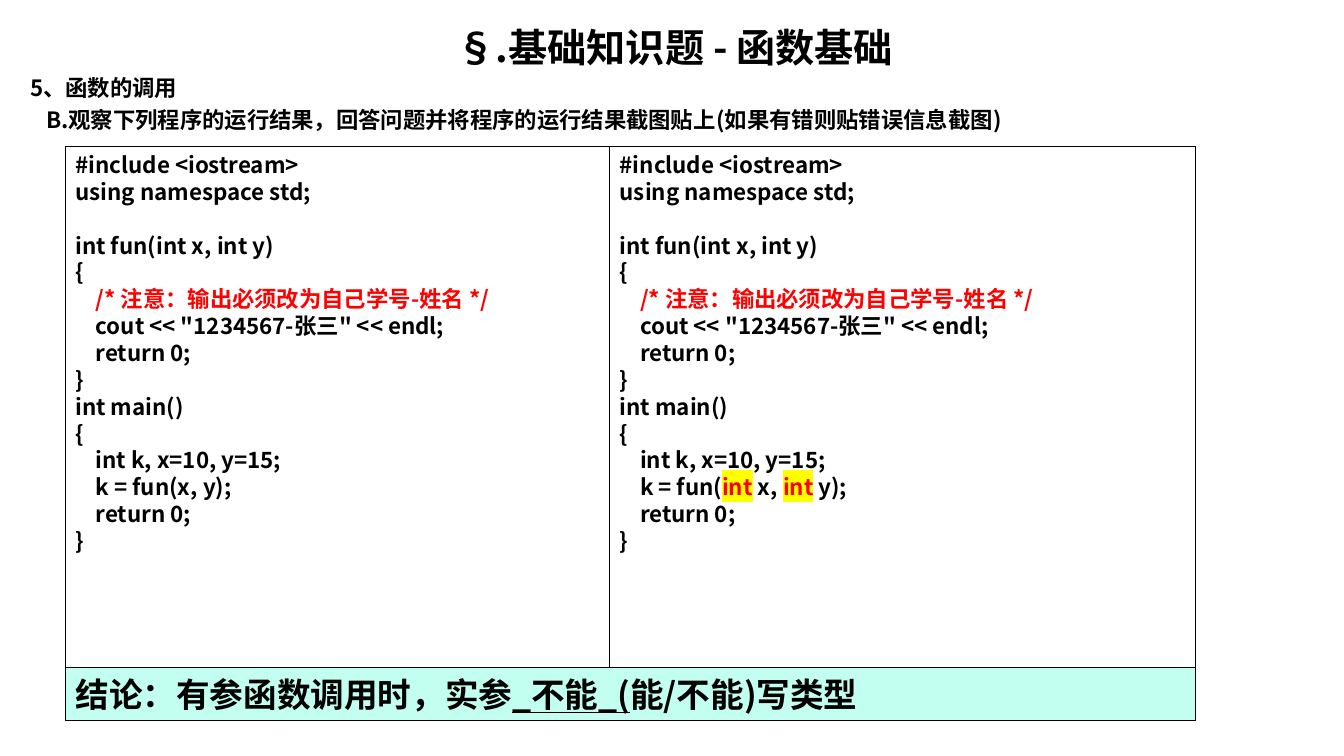
import pptx
import pptx.util
import pptx.dml.color
import pptx.enum.shapes
import pptx.enum.text
from lxml import etree

Pt = pptx.util.Pt
RGBColor = pptx.dml.color.RGBColor
Anchor = pptx.enum.text.MSO_ANCHOR
Align = pptx.enum.text.PP_ALIGN

BLACK = RGBColor(0, 0, 0)
RED = RGBColor(255, 0, 0)
YELLOW = RGBColor(255, 255, 0)
MINT = RGBColor(0xC2, 0xFF, 0xF0)
FONT = "Noto Sans CJK SC"
DRAWING = "http://schemas.openxmlformats.org/drawingml/2006/main"
CODE_SIZE = 16
LINE_PITCH = 19.2

CODE_START = [
    "#include <iostream>",
    "using namespace std;",
    "",
    "int fun(int x, int y)",
    "{",
    "    /* 注意：输出必须改为自己学号-姓名 */",
    '    cout << "1234567-张三" << endl;',
    "    return 0;",
    "}",
    "int main()",
    "{",
    "    int k, x=10, y=15;",
]
CODE_END = ["    return 0;", "}"]
PLAIN_CALL = ["    k = fun(x, y);"]
TYPED_CALL = ["    k = fun(", "int", " x, ", "int", " y);"]


def format_span(span, size, color=BLACK, highlight=None):
    span.font.size = Pt(size)
    span.font.bold = True
    span.font.color.rgb = color
    span.font.name = FONT
    latin = span.font._element.find(f"{{{DRAWING}}}latin")
    latin.addnext(etree.Element(f"{{{DRAWING}}}ea", typeface=FONT))
    if highlight is not None:
        mark = etree.Element(f"{{{DRAWING}}}highlight")
        etree.SubElement(mark, f"{{{DRAWING}}}srgbClr", val=str(highlight))
        latin.addprevious(mark)


def prepare_frame(frame, anchor=Anchor.TOP):
    frame.word_wrap = True
    frame.auto_size = pptx.enum.text.MSO_AUTO_SIZE.NONE
    frame.vertical_anchor = anchor
    frame.margin_left = frame.margin_right = Pt(7.2)
    frame.margin_top = frame.margin_bottom = Pt(3.6)


def add_title(page, left, top, width, height):
    box = page.shapes.title
    box.left, box.top, box.width, box.height = map(Pt, (left, top, width, height))
    prepare_frame(box.text_frame)
    box.text_frame.text = "§.基础知识题 - 函数基础"
    para = box.text_frame.paragraphs[0]
    para.alignment = Align.CENTER
    format_span(para.runs[0], 28)


def add_question(page, left, top, width, height):
    box = page.shapes.add_textbox(*map(Pt, (left, top, width, height)))
    prepare_frame(box.text_frame)
    box.text_frame.text = (
        "5、函数的调用\n"
        "B.观察下列程序的运行结果，回答问题并将程序的运行结果截图贴上(如果有错则贴错误信息截图)"
    )
    for para in box.text_frame.paragraphs:
        format_span(para.runs[0], CODE_SIZE)
    detail = box.text_frame.paragraphs[1]
    detail.space_before = Pt(3.2)
    detail._p.get_or_add_pPr().set("marL", str(Pt(11.4)))


def add_panel(page, left, top, width, height, fill=None, anchor=Anchor.TOP):
    box = page.shapes.add_shape(
        pptx.enum.shapes.MSO_SHAPE.RECTANGLE, *map(Pt, (left, top, width, height))
    )
    box.shadow.inherit = False
    if fill is None:
        box.fill.background()
    else:
        box.fill.solid()
        box.fill.fore_color.rgb = fill
    box.line.color.rgb = BLACK
    box.line.width = Pt(0.75)
    prepare_frame(box.text_frame, anchor)
    box.text_frame.paragraphs[0].alignment = Align.LEFT
    return box.text_frame


def add_code(page, left, top, width, height, call):
    frame = add_panel(page, left, top, width, height)
    lines = [[line] for line in CODE_START] + [call] + [[line] for line in CODE_END]
    para = frame.paragraphs[0]
    gap = 0
    for number, parts in enumerate(lines):
        if parts == [""]:
            gap = LINE_PITCH
            continue
        if number:
            para = frame.add_paragraph()
            para.alignment = Align.LEFT
            para.space_before = Pt(gap)
        gap = 0
        for part in parts:
            span = para.add_run()
            span.text = part
            marked = part == "int"
            red = marked or "/*" in part
            format_span(span, CODE_SIZE, RED if red else BLACK, YELLOW if marked else None)


def add_conclusion(page, left, top, width, height):
    frame = add_panel(page, left, top, width, height, MINT, Anchor.MIDDLE)
    parts = [("结论：有参函数调用时，实参", False), ("_不能_(", True), ("能/不能)写类型", False)]
    for text, underlined in parts:
        span = frame.paragraphs[0].add_run()
        span.text = text
        format_span(span, 24)
        span.font.underline = underlined


def add_comparison(page, left, top, width, height):
    divider = 388.8
    strip = 38.2
    add_code(page, left, top, width, height, PLAIN_CALL)
    add_code(page, left + divider, top, width - divider, height, TYPED_CALL)
    add_conclusion(page, left, top + height - strip, width, strip)


def main():
    deck = pptx.Presentation()
    deck.slide_width, deck.slide_height = Pt(960), Pt(540)
    page = deck.slides.add_slide(deck.slide_layouts[5])
    add_title(page, 14.4, 13, 935.3, 40)
    add_question(page, 14.4, 49.6, 935.3, 52)
    add_comparison(page, 46.8, 104.4, 807, 410.4)
    deck.save("out.pptx")


if __name__ == "__main__":
    main()
